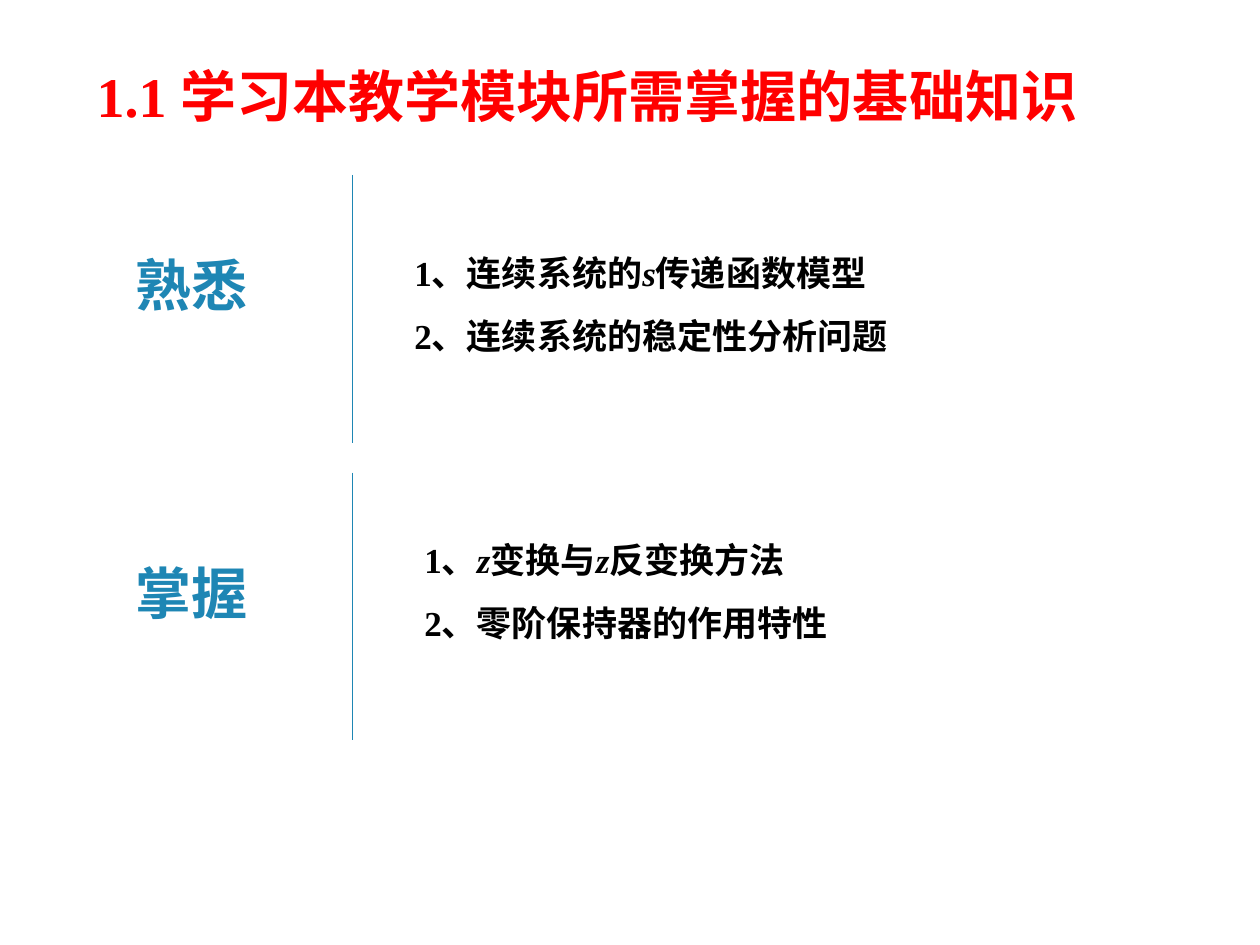
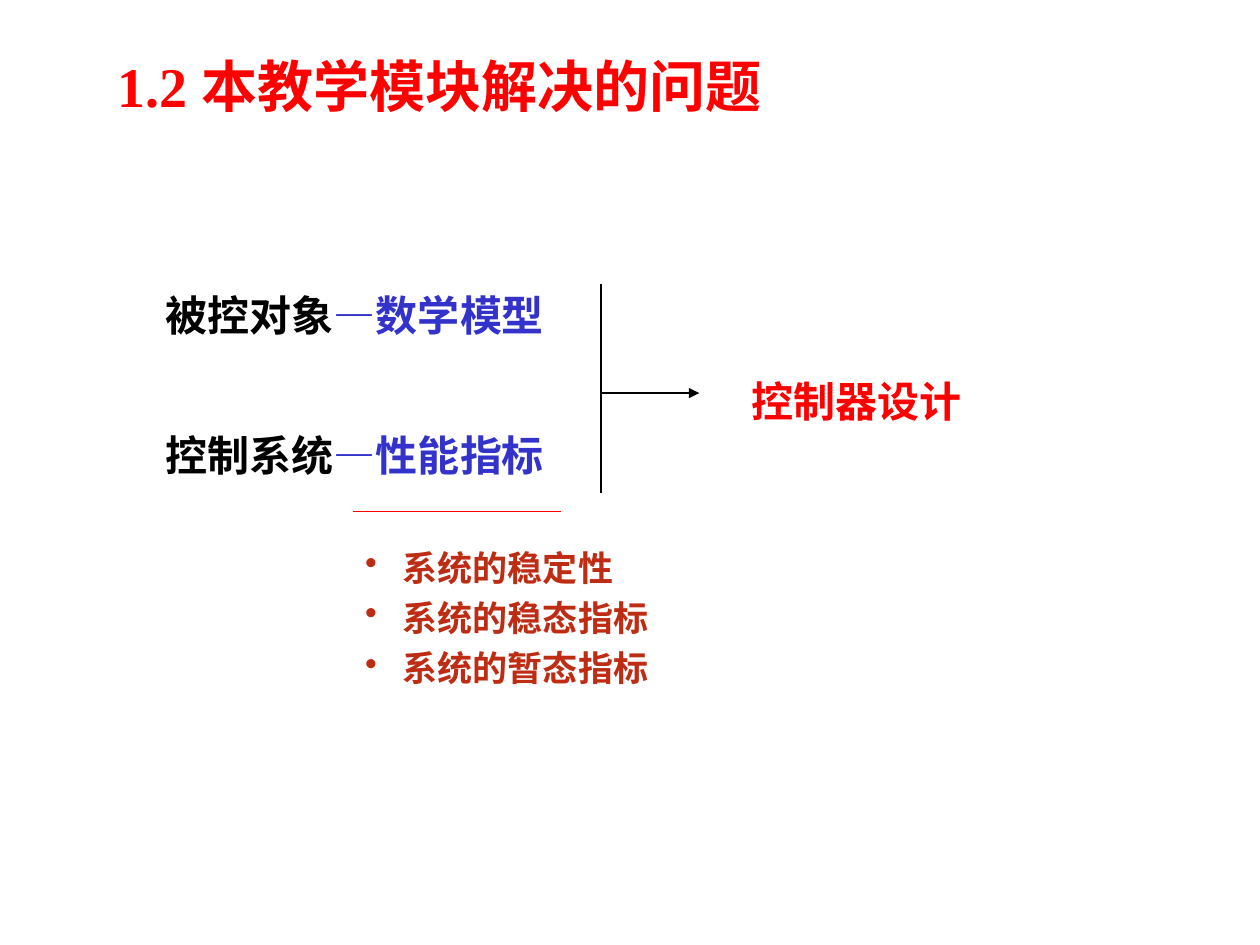
from lxml import etree
from pptx import Presentation
from pptx.dml.color import RGBColor
from pptx.enum.shapes import MSO_CONNECTOR
from pptx.oxml.ns import qn
from pptx.util import Pt

STRAIGHT = MSO_CONNECTOR.STRAIGHT

RED = RGBColor(0xFF, 0x00, 0x00)
TEAL = RGBColor(0x1E, 0x86, 0xB4)
BLACK = RGBColor(0x00, 0x00, 0x00)
BLUE = RGBColor(0x33, 0x33, 0xCC)
RUST = RGBColor(0xBE, 0x2C, 0x14)

SERIF = "Times New Roman"
SANS = "Arial"
BULLET_INDENT = Pt(21.5)


def make_italic(r):
    r.font.italic = True


def make_blue(r):
    r.font.color.rgb = BLUE


def add_text(s, box, paragraphs, size, color, font=SERIF, spacing=1.0, emphasize=None):
    """Each paragraph is a list of runs; every second run is emphasized."""
    tf = s.shapes.add_textbox(*map(Pt, box)).text_frame
    tf.word_wrap = True
    for i, runs in enumerate(paragraphs):
        p = tf.add_paragraph() if i else tf.paragraphs[0]
        p.line_spacing = spacing
        p.font.name = font
        p.font.size = Pt(size)
        p.font.bold = True
        p.font.color.rgb = color
        for j, text in enumerate(runs):
            r = p.add_run()
            r.text = text
            if j % 2:
                emphasize(r)
    return tf


def add_title(s, left, top, text):
    add_text(s, (left, top, 620, 46), [[text]], 32, RED)


def add_line(s, x1, y1, x2, y2, color, arrow=False):
    line = s.shapes.add_connector(STRAIGHT, Pt(x1), Pt(y1), Pt(x2), Pt(y2))
    line.line.color.rgb = color
    line.line.width = Pt(0.75)
    if arrow:
        etree.SubElement(line.line._get_or_add_ln(), qn("a:tailEnd"), type="triangle")
    etree.SubElement(line._element.spPr, qn("a:effectLst"))


def add_bullets(tf):
    for p in tf.paragraphs:
        pPr = p._p.get_or_add_pPr()
        pPr.set("marL", str(BULLET_INDENT))
        pPr.set("indent", str(-BULLET_INDENT))
        bullet = etree.Element(qn("a:buChar"), char="•")
        pPr.find(qn("a:defRPr")).addprevious(bullet)


def add_topic(s, label, label_top, line_top, items, items_left, items_top):
    add_text(s, (70.5, label_top, 240, 46), [[label]], 32, TEAL, SANS)
    add_line(s, 201.6, line_top, 201.6, line_top + 153, TEAL)
    add_text(s, (items_left, items_top, 420, 79), items, 20, BLACK,
             spacing=1.5, emphasize=make_italic)


def build_basics(s):
    add_title(s, 48.2, 31.7, "1.1 学习本教学模块所需掌握的基础知识")
    add_topic(s, "熟悉", 139.7, 100,
              [["1、连续系统的", "s", "传递函数模型"], ["2、连续系统的稳定性分析问题"]],
              229.7, 128.2)
    add_topic(s, "掌握", 315.4, 270,
              [["1、", "z", "变换与", "z", "反变换方法"], ["2、零阶保持器的作用特性"]],
              235.4, 292.3)


def build_problem(s):
    add_title(s, 59.8, 25.9, "1.2 本教学模块解决的问题")
    inputs = [("被控对象", "—数学模型"), ("控制系统", "—性能指标")]
    for i, runs in enumerate(inputs):
        add_text(s, (87.8, 162 + 79.9 * i, 244, 36), [runs], 24, BLACK, SANS,
                 emphasize=make_blue)
    add_text(s, (422.6, 196.6, 278, 50), [["控制器设计"]], 24, RED, spacing=1.5)
    add_line(s, 343.4, 162, 343.4, 281.5, BLACK)
    add_line(s, 343.4, 224.6, 399.6, 224.6, BLACK, arrow=True)
    add_line(s, 201.6, 292.3, 320.4, 292.3, RED)
    measures = [["系统的稳定性"], ["系统的稳态指标"], ["系统的暂态指标"]]
    add_bullets(add_text(s, (201.6, 303.8, 278, 94), measures, 20, RUST, spacing=1.2))


def main():
    prs = Presentation()
    prs.slide_width, prs.slide_height = Pt(720), Pt(540)
    for build in (build_basics, build_problem):
        build(prs.slides.add_slide(prs.slide_layouts[6]))
    prs.save("out.pptx")


if __name__ == "__main__":
    main()
